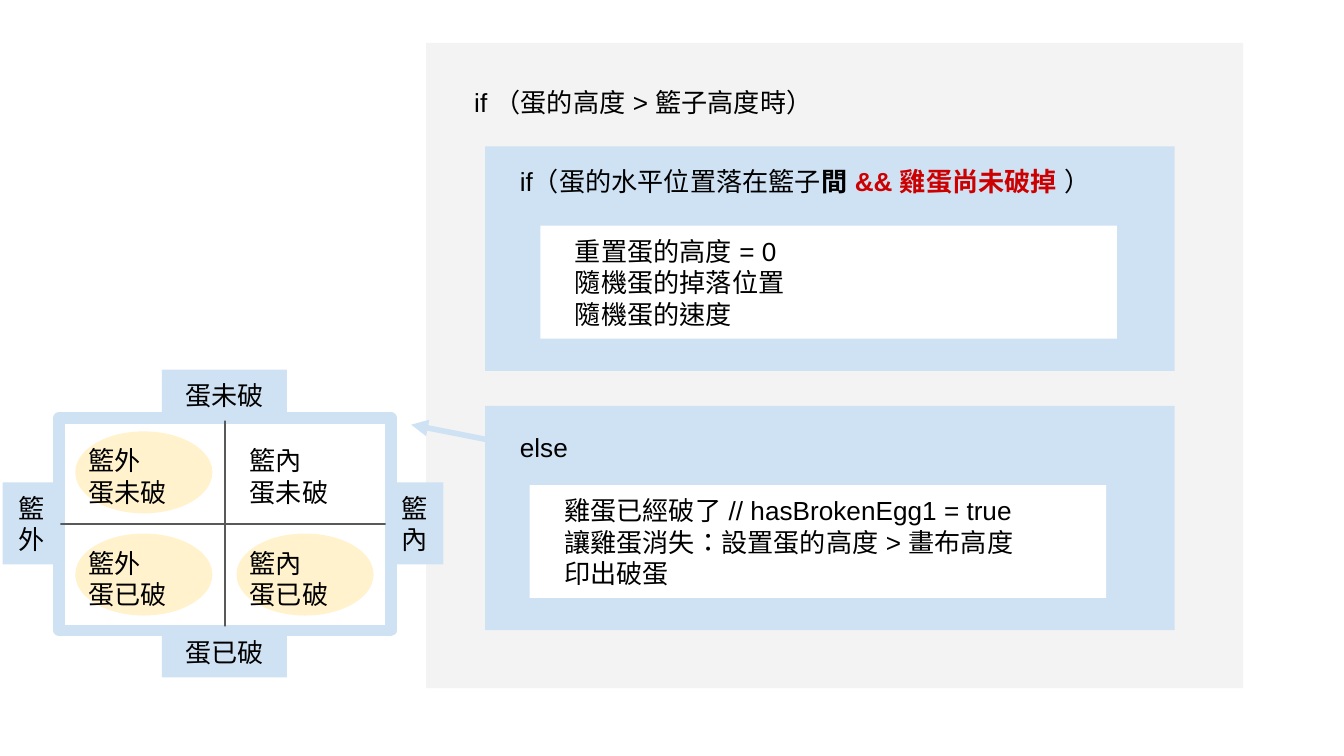
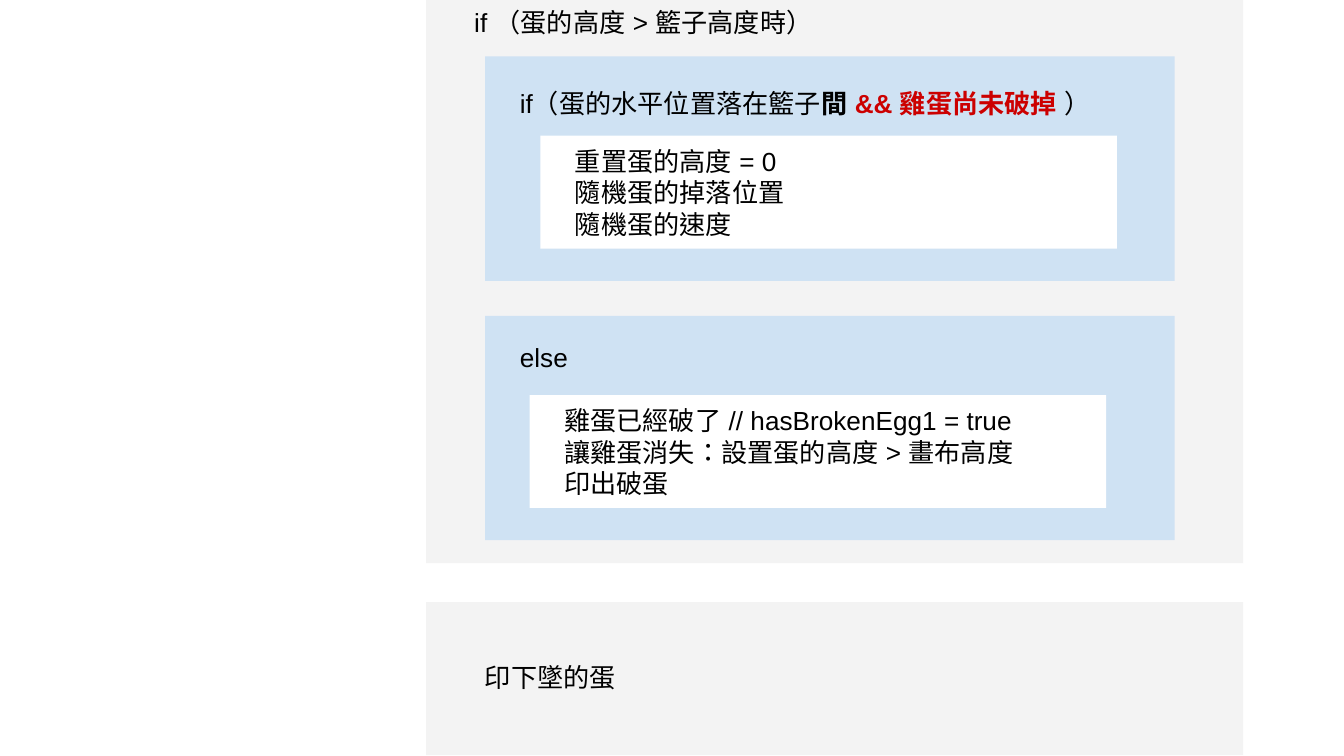
from lxml import etree
from pptx import Presentation
from pptx.dml.color import RGBColor
from pptx.enum import lang, shapes, text
from pptx.oxml import ns
from pptx.util import Inches, Pt

GREY, BLUE, WHITE = "F3F3F3", "CFE2F3", "FFFFFF"
YELLOW, RED, BLACK, RULE = "FFF2CC", "CC0000", "000000", "595959"
FONT, SIZE = "Arial", 14
RECT, OVAL = shapes.MSO_SHAPE.RECTANGLE, shapes.MSO_SHAPE.OVAL
PANEL_X, PANEL_W = 3.17, 6.08
BLOCK_W, BLOCK_H, BLOCK_PITCH = 5.13, 1.67, 1.93

OUTER_IF = "if （蛋的高度 > 籃子高度時）"
INNER_IF = [("if（蛋的水平位置落在籃子", BLACK, False), ("間 ", BLACK, True),
            ("&& 雞蛋尚未破掉 ", RED, True), ("）", BLACK, False)]
CAUGHT = ["重置蛋的高度 = 0", "隨機蛋的掉落位置", "隨機蛋的速度"]
MISSED = ["雞蛋已經破了 // hasBrokenEgg1 = true",
          "讓雞蛋消失：設置蛋的高度 > 畫布高度", "印出破蛋"]


def rgb(value):
    return RGBColor.from_string(value)


def add_run(p, words, color=BLACK, bold=False):
    r = p.add_run()
    r.text = words
    r.font.size, r.font.name, r.font.bold = Pt(SIZE), FONT, bold
    r.font.language_id = lang.MSO_LANGUAGE_ID.TRADITIONAL_CHINESE
    r.font.color.rgb = rgb(color)
    ea = etree.SubElement(r.font._element, ns.qn("a:ea"))
    ea.set("typeface", FONT)


def write(sp, lines, align=text.PP_ALIGN.LEFT, anchor=text.MSO_ANCHOR.TOP):
    """Fill a shape with lines; a line is a string or a list of runs."""
    tf = sp.text_frame
    tf.word_wrap, tf.vertical_anchor = True, anchor
    tf.margin_left = tf.margin_top = tf.margin_right = tf.margin_bottom = Inches(0.1)
    for i, line in enumerate(lines):
        p = tf.add_paragraph() if i else tf.paragraphs[0]
        p.alignment = align
        for run in [(line,)] if isinstance(line, str) else line:
            add_run(p, *run)


def add_text(s, x, y, w, h, lines):
    write(s.shapes.add_textbox(*map(Inches, (x, y, w, h))), lines)


def add_box(s, x, y, w, h, fill, kind=RECT):
    sp = s.shapes.add_shape(kind, *map(Inches, (x, y, w, h)))
    sp.shadow.inherit = False
    sp.fill.solid()
    sp.fill.fore_color.rgb = rgb(fill)
    sp.line.fill.background()
    return sp


def add_line(s, start, end, color, width, arrow=False):
    line = s.shapes.add_connector(shapes.MSO_CONNECTOR.STRAIGHT,
                                  *map(Inches, (*start, *end)))
    line.line.color.rgb, line.line.width = rgb(color), Pt(width)
    if arrow:
        tail = etree.SubElement(line.line._get_or_add_ln(), ns.qn("a:tailEnd"))
        tail.set("type", "triangle")
    etree.SubElement(line._element.spPr, ns.qn("a:effectLst"))


def add_block(s, x, y, head, head_dy, head_w, body, body_dx, body_w):
    """Blue branch with its condition and a white box of statements."""
    add_box(s, x, y, BLOCK_W, BLOCK_H, BLUE)
    add_text(s, x + 0.16, y + head_dy, head_w, 0.38, [head])
    add_box(s, x + body_dx, y + 0.59, 4.29, 0.84, WHITE)
    add_text(s, x + body_dx + 0.16, y + 0.56, body_w, 0.91, body)


def add_code(s, y, h, head_dy, block_dy, if_dy):
    """Grey panel with the outer condition and its two branches."""
    add_box(s, PANEL_X, y, PANEL_W, h, GREY)
    add_text(s, PANEL_X + 0.26, y + head_dy, 3.12, 0.47, [OUTER_IF])
    x, top = PANEL_X + 0.44, y + block_dy
    add_block(s, x, top, INNER_IF, if_dy, 4.97, CAUGHT, 0.41, 3.47)
    add_block(s, x, top + BLOCK_PITCH, "else", 0.09, 3.47, MISSED, 0.33, 4.13)


def add_matrix(s, x, y, w, h):
    """Two-by-two chart: outside or inside the basket, whole or broken egg."""
    frame = add_box(s, x, y, w, h, WHITE)
    frame.fill.background()
    frame.line.color.rgb, frame.line.width = rgb(BLUE), Pt(6)
    mid_x, mid_y = x + w / 2, y + h / 2
    add_line(s, (x, mid_y), (x + w, mid_y), RULE, 0.75)
    add_line(s, (mid_x, y), (mid_x, y + h), RULE, 0.75)

    sides, states = ("籃外", "籃內"), ("蛋未破", "蛋已破")
    for row, state in enumerate(states):
        for col, side in enumerate(sides):
            cell = (x + 0.12 + 1.2 * col, y + 0.1 + 0.76 * row, 1.02, 0.61)
            if (side, state) != ("籃內", "蛋未破"):
                add_box(s, *cell, YELLOW, OVAL)
            add_text(s, *cell, [side, state])

    labels = [(sides[0], x - 0.42, mid_y - 0.31, 0.43, 0.61),
              (states[0], mid_x - 0.47, y - 0.36, 0.93, 0.38),
              (states[1], mid_x - 0.47, y + h - 0.03, 0.93, 0.38),
              (sides[1], x + w - 0.04, mid_y - 0.31, 0.43, 0.61)]
    for label, *place in labels:
        write(add_box(s, *place, BLUE), [label],
              text.PP_ALIGN.CENTER, text.MSO_ANCHOR.MIDDLE)


def matrix_slide(s):
    add_code(s, 0.32, 4.8, head_dy=0.22, block_dy=0.77, if_dy=0.04)
    add_line(s, (3.77, 3.3), (3.06, 3.16), BLUE, 3, arrow=True)
    add_matrix(s, 0.44, 3.11, 2.47, 1.58)


def draw_slide(s):
    add_code(s, -0.01, 4.2, head_dy=-0.04, block_dy=0.43, if_dy=0.13)
    add_box(s, PANEL_X, 4.48, PANEL_W, 1.14, GREY)
    add_text(s, PANEL_X + 0.34, 4.82, 3.12, 0.47, ["印下墜的蛋"])


def main():
    prs = Presentation()
    prs.slide_width = Inches(10)
    prs.slide_height = prs.slide_width * 9 // 16
    for build in (matrix_slide, draw_slide):
        build(prs.slides.add_slide(prs.slide_layouts[6]))
    prs.save("out.pptx")


if __name__ == "__main__":
    main()
